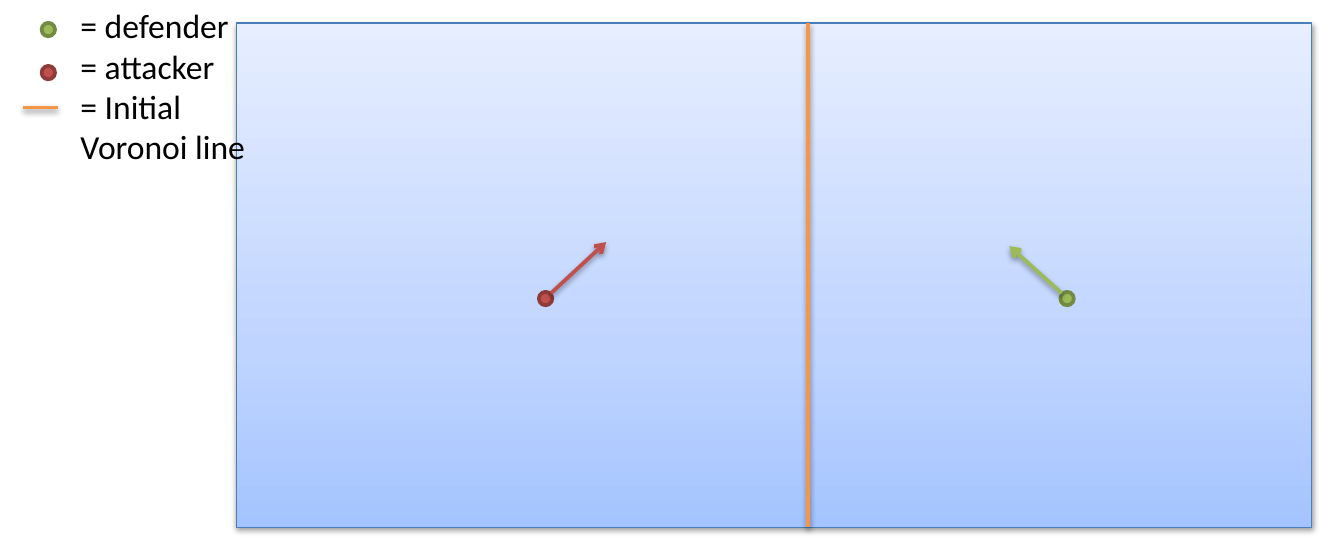
import copy

import pptx
import pptx.dml.color
import pptx.enum.shapes
import pptx.oxml.ns
import pptx.util
from lxml import etree

Inches = pptx.util.Inches
Pt = pptx.util.Pt
RGBColor = pptx.dml.color.RGBColor
qn = pptx.oxml.ns.qn

BLACK = RGBColor(0x00, 0x00, 0x00)
FIELD_EDGE = RGBColor(0x4B, 0x7E, 0xBC)
FIELD_STOPS = [
    (0, RGBColor(0xA4, 0xC4, 0xFF)),
    (0.35, RGBColor(0xBF, 0xD4, 0xFF)),
    (1, RGBColor(0xE6, 0xEE, 0xFF)),
]
GREEN = RGBColor(0x9B, 0xBB, 0x59)
GREEN_EDGE = RGBColor(0x73, 0x8A, 0x42)
RED = RGBColor(0xC0, 0x50, 0x4D)
RED_EDGE = RGBColor(0x8E, 0x3B, 0x39)
ORANGE = RGBColor(0xF7, 0x96, 0x46)

FIELD_LEFT, FIELD_TOP, FIELD_WIDTH, FIELD_HEIGHT = 1.76, 0.17, 8, 3.75
VORONOI_X = 6.01
DOT_SIZE = 0.1


def add_soft_shadow(properties):
    """Append a faint downward shadow to a shape's or connector's spPr."""
    effects = etree.SubElement(properties, qn("a:effectLst"))
    shadow = etree.SubElement(
        effects, qn("a:outerShdw"), blurRad=str(Pt(3.1)), dist=str(Pt(1.6)),
        dir="5400000", rotWithShape="0")
    shade = etree.SubElement(shadow, qn("a:srgbClr"), val=str(BLACK))
    etree.SubElement(shade, qn("a:alpha"), val="38000")


prs = pptx.Presentation()
prs.slide_width = Inches(10)
prs.slide_height = Inches(4)
slide = prs.slides.add_slide(prs.slide_layouts[6])
shapes = slide.shapes

# Playing field with a gradient that lightens upwards
field = shapes.add_shape(
    pptx.enum.shapes.MSO_SHAPE.RECTANGLE, Inches(FIELD_LEFT),
    Inches(FIELD_TOP), Inches(FIELD_WIDTH), Inches(FIELD_HEIGHT))
field.fill.gradient()
field.fill.gradient_angle = 90
stop_list = field._element.spPr.find(qn("a:gradFill")).find(qn("a:gsLst"))
stop_list.append(copy.deepcopy(stop_list[-1]))
for stop, (position, color) in zip(field.fill.gradient_stops, FIELD_STOPS):
    stop.position = position
    stop.color.rgb = color
field.line.color.rgb = FIELD_EDGE
field.line.width = Pt(0.75)
add_soft_shadow(field._element.spPr)

# Players on the field, then their legend keys
for left, top, color, edge in [
    (7.89, 2.17, GREEN, GREEN_EDGE),
    (4.01, 2.17, RED, RED_EDGE),
    (0.31, 0.17, GREEN, GREEN_EDGE),
    (0.31, 0.49, RED, RED_EDGE),
]:
    player = shapes.add_shape(
        pptx.enum.shapes.MSO_SHAPE.OVAL, Inches(left), Inches(top),
        Inches(DOT_SIZE), Inches(DOT_SIZE))
    player.shadow.inherit = False
    player.fill.solid()
    player.fill.fore_color.rgb = color
    player.line.color.rgb = edge
    player.line.width = Pt(2)

# Voronoi line, the two headings, and the legend key of the line
for x1, y1, x2, y2, color, has_arrow in [
    (VORONOI_X, FIELD_TOP, VORONOI_X, FIELD_TOP + FIELD_HEIGHT, ORANGE, False),
    (4.1, 2.18, 4.51, 1.8, RED, True),
    (7.9, 2.18, 7.51, 1.83, GREEN, True),
    (0.17, 0.8, 0.43, 0.8, ORANGE, False),
]:
    stroke = shapes.add_connector(
        pptx.enum.shapes.MSO_CONNECTOR.STRAIGHT,
        Inches(x1), Inches(y1), Inches(x2), Inches(y2))
    stroke.line.color.rgb = color
    stroke.line.width = Pt(2)
    if has_arrow:
        etree.SubElement(
            stroke.line._get_or_add_ln(), qn("a:tailEnd"), type="arrow")
    add_soft_shadow(stroke._element.spPr)

legend = shapes.add_textbox(
    Inches(0.5), Inches(-0.01), Inches(1.65), Inches(1.31)).text_frame
legend.word_wrap = True
legend.text = "= defender\n= attacker\n= Initial Voronoi line"
for entry in legend.paragraphs:
    entry.font.name = "Calibri"
    entry.font.size = Pt(18)
    entry.font.color.rgb = BLACK

prs.save("out.pptx")
